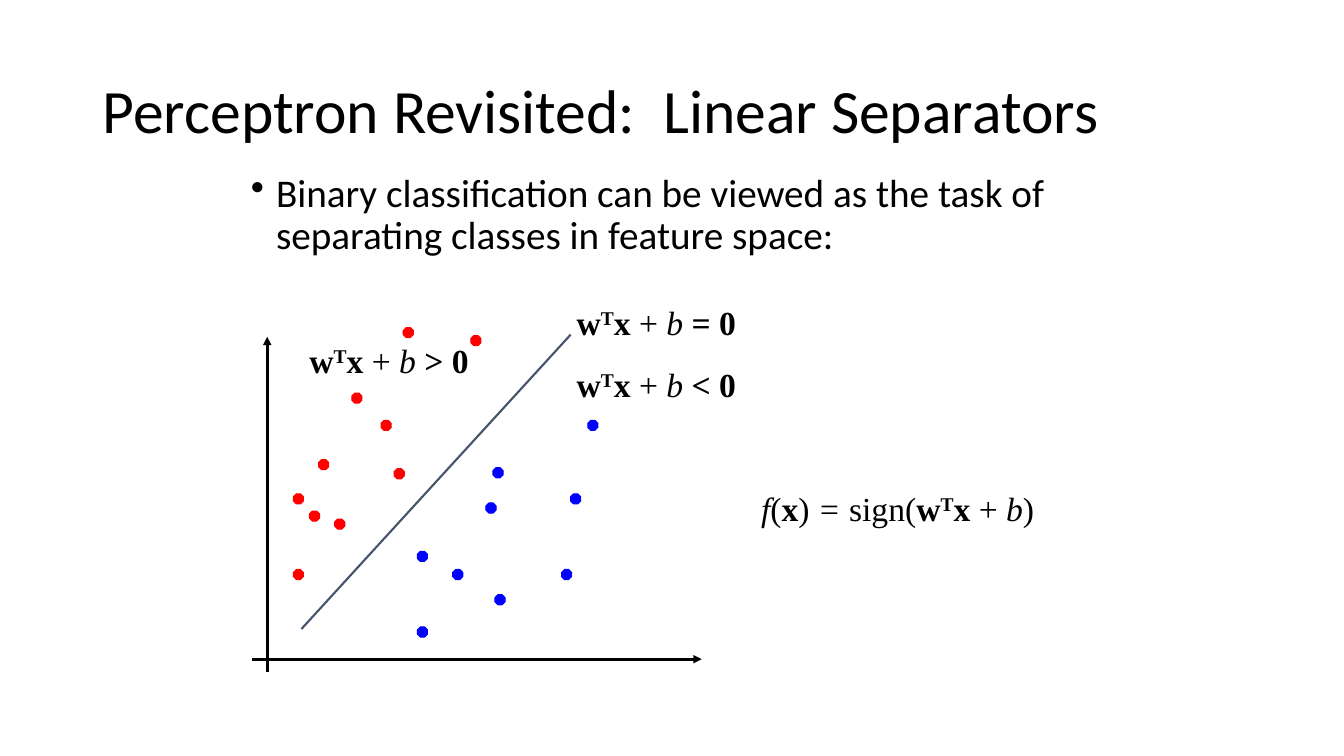
from pptx import Presentation, util as u
from pptx.dml.color import RGBColor
from pptx.enum import shapes, text
from pptx.oxml.ns import qn
from lxml import etree

HUES = {"ink": "000000", "red": "FF0000", "blue": "0000FF", "slate": "44546A"}
SANS, SERIF = "Calibri", "Times New Roman"
WIDE, HIGH = 13.33, 7.5
ORIGIN = (2.65, 6.54)
UNIT, DOT = 0.01, 0.1

TITLE = "Perceptron Revisited:  Linear Separators "
POINT = "Binary classification can be viewed as the task of separating classes in feature space:"
SCORE = [("w", "b"), ("T", "b^"), ("x ", "b"), ("+ ", ""), ("b", "i")]
RULE = [("f", "i"), ("(", ""), ("x", "b"), (")", ""), (" = ", "i"), ("sign(", "")]
LABELS = [
    ((5.62, 2.95, 2.92, 0.5), SCORE + [(" = 0", "b")]),
    ((5.62, 3.56, 2.92, 0.5), SCORE + [(" < 0", "b")]),
    ((2.97, 3.32, 2.92, 0.5), SCORE + [(" > 0", "b")]),
    ((7.45, 4.79, 3.21, 0.5), RULE + SCORE + [(")", "")]),
]
LINES = [
    ((0, -13), (0, 320), "ink", 2, True),
    ((-15, 0), (431, 0), "ink", 2, True),
    ((34, 30), (301, 322), "slate", 1.5, False),
]
DOTS = {
    "red": [(118, 232), (56, 193), (72, 134), (31, 84), (89, 259),
            (31, 159), (47, 142), (131, 184), (140, 324), (207, 316)],
    "blue": [(229, 185), (189, 84), (297, 84), (154, 27), (222, 150),
             (154, 102), (231, 59), (306, 159), (323, 232)],
}


def hue(name):
    return RGBColor.from_string(HUES[name])


def place(spot):
    x, y = spot
    return ORIGIN[0] + x * UNIT, ORIGIN[1] - y * UNIT


def inches(*sizes):
    return [u.Inches(size) for size in sizes]


def write(box, runs, size, face, anchor=text.MSO_ANCHOR.TOP):
    frame = slide.shapes.add_textbox(*inches(*box)).text_frame
    frame.word_wrap = True
    frame.vertical_anchor = anchor
    para = frame.paragraphs[0]
    para.font.size, para.font.name = u.Pt(size), face
    para.font.color.rgb = hue("ink")
    for words, style in runs:
        run = para.add_run()
        run.text = words
        run.font.size, run.font.name = u.Pt(size), face
        run.font.color.rgb = hue("ink")
        run.font.bold, run.font.italic = "b" in style, "i" in style
        if "^" in style:
            run.font._element.set("baseline", "30000")
    return para


def draw(start, end, tone, width, arrow):
    line = slide.shapes.add_connector(
        shapes.MSO_CONNECTOR.STRAIGHT, *inches(*place(start), *place(end)))
    line.line.color.rgb, line.line.width = hue(tone), u.Pt(width)
    if arrow:
        etree.SubElement(line.line._get_or_add_ln(), qn("a:tailEnd"), type="triangle")
    etree.SubElement(line._element.spPr, qn("a:effectLst"))


def mark(spot, tone):
    x, y = place(spot)
    dot = slide.shapes.add_shape(
        shapes.MSO_SHAPE.OCTAGON, *inches(x - DOT / 2, y - DOT / 2, DOT, DOT))
    dot.shadow.inherit = False
    dot.fill.solid()
    dot.fill.fore_color.rgb = dot.line.color.rgb = hue(tone)
    dot.line.width = u.Pt(0.75)


def build():
    """Draw two classes of points split by a line, with their formulas."""
    head = write((0.92, 0.4, 11.5, 1.45), [(TITLE, "")], 44, SANS, text.MSO_ANCHOR.MIDDLE)
    head.line_spacing = 0.9
    body = write((2.39, 1.67, 9, 5.5), [(POINT, "")], 28, SANS)
    body.line_spacing, body.space_before = 0.9, u.Pt(10)
    props = body._p.get_or_add_pPr()
    props.set("marL", str(u.Inches(0.25)))
    props.set("indent", str(-u.Inches(0.25)))
    bullet = etree.Element(qn("a:buChar"), char="•")
    props.find(qn("a:spcBef")).addnext(bullet)
    for line in LINES:
        draw(*line)
    for tone, spots in DOTS.items():
        for spot in spots:
            mark(spot, tone)
    for box, runs in LABELS:
        write(box, runs, 24, SERIF)


deck = Presentation()
deck.slide_width, deck.slide_height = inches(WIDE, HIGH)
slide = deck.slides.add_slide(deck.slide_layouts[6])
build()
deck.save("out.pptx")
